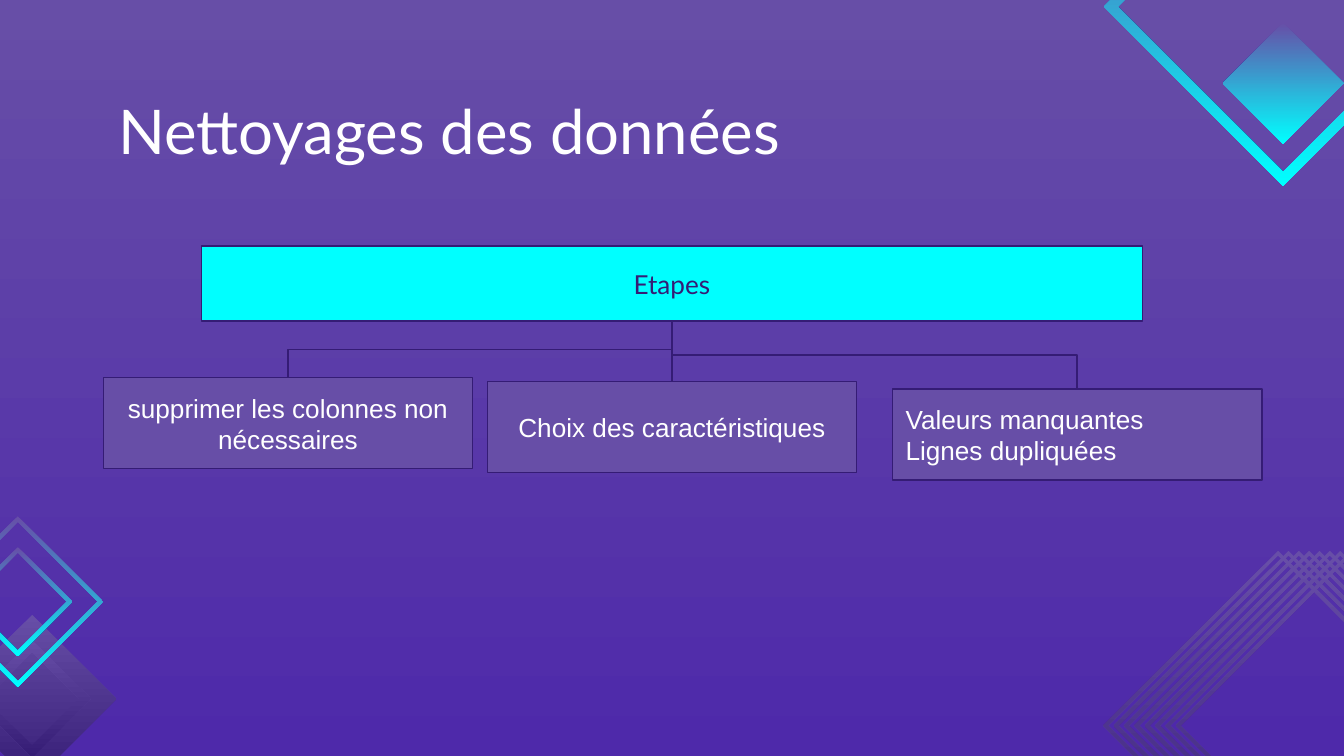
from dataclasses import dataclass

from pptx import Presentation
from pptx.dml.color import RGBColor
from pptx.enum import shapes, text
from pptx.util import Pt

CYAN = RGBColor(0x00, 0xFF, 0xFF)
PURPLE = RGBColor(0x67, 0x4E, 0xA7)
DEEP = RGBColor(0x4E, 0x29, 0xAA)
INDIGO = RGBColor(0x35, 0x1C, 0x75)
WHITE = RGBColor(0xFF, 0xFF, 0xFF)


@dataclass
class Diamond:
    """Centre, outer radius and hole radius (0 for a solid one), in points."""
    cx: float
    cy: float
    radius: float
    hole: float
    bottom: RGBColor


@dataclass
class Box:
    """A labelled box, in points; each line is a paragraph."""
    x: float
    y: float
    w: float
    h: float
    lines: list[str]
    fill: RGBColor = PURPLE
    color: RGBColor = WHITE
    font: str = "Arial"
    align: text.PP_ALIGN = text.PP_ALIGN.CENTER


def shade(fill, top: RGBColor, bottom: RGBColor) -> None:
    fill.gradient()
    fill.gradient_angle = 270
    for stop, color in zip(fill.gradient_stops, (top, bottom)):
        stop.color.rgb = color


def set_margins(tf) -> None:
    tf.margin_left = tf.margin_right = tf.margin_top = tf.margin_bottom = Pt(7.2)
    tf.word_wrap = True


def draw_diamond(s, d: Diamond) -> None:
    def corners(r: float, turn: int) -> list[tuple[int, int]]:
        return [(Pt(d.cx + dx * r), Pt(d.cy + dy * r))
                for dx, dy in ((0, -1), (turn, 0), (0, 1), (-turn, 0))]

    outer = corners(d.radius, 1)
    builder = s.shapes.build_freeform(*outer[0])
    builder.add_line_segments(outer[1:], close=True)
    if d.hole:
        inner = corners(d.hole, -1)
        builder.move_to(*inner[0])
        builder.add_line_segments(inner[1:], close=True)
    sp = builder.convert_to_shape()
    sp.shadow.inherit = False
    shade(sp.fill, PURPLE, d.bottom)
    sp.line.fill.background()


def draw_box(s, b: Box) -> None:
    sp = s.shapes.add_shape(shapes.MSO_SHAPE.RECTANGLE, Pt(b.x), Pt(b.y), Pt(b.w), Pt(b.h))
    sp.shadow.inherit = False
    sp.fill.solid()
    sp.fill.fore_color.rgb = b.fill
    sp.line.color.rgb = INDIGO
    sp.line.width = Pt(0.75)
    tf = sp.text_frame
    set_margins(tf)
    tf.vertical_anchor = text.MSO_ANCHOR.MIDDLE
    tf.text = "\n".join(b.lines)
    for p in tf.paragraphs:
        p.alignment = b.align
        for r in p.runs:
            r.font.size = Pt(14)
            r.font.name = b.font
            r.font.color.rgb = b.color


def draw_branch(s, parent: Box, child: Box) -> None:
    """Elbow from the parent's bottom to the child's top, turned to leave downwards."""
    x0, y0 = parent.x + parent.w / 2, parent.y + parent.h
    x1, y1 = child.x + child.w / 2, child.y
    w, h = y1 - y0, abs(x1 - x0)
    left, top = (x0 + x1 - w) / 2, (y0 + y1 - h) / 2
    rightward = x1 > x0
    begin, end = (left + w, left) if rightward else (left, left + w)
    c = s.shapes.add_connector(shapes.MSO_CONNECTOR.ELBOW,
                               Pt(begin), Pt(top), Pt(end), Pt(top + h))
    sp_pr = c._element.spPr
    sp_pr.xfrm.set("rot", "16200000" if rightward else "5400000")
    c.line.color.rgb = INDIGO
    c.line.width = Pt(0.75)
    sp_pr.append(sp_pr.makeelement(
        "{http://schemas.openxmlformats.org/drawingml/2006/main}effectLst", {}))


# Lattice of rings at the lower right, then the single diamonds
DIAMONDS = [Diamond(684.7 + 5.55 * i, 388.8, 93.7, 91.1, INDIGO) for i in range(8)] + [
    Diamond(17.3, 374.4, 45, 0, INDIGO),
    Diamond(17.3, 374.4, 31.5, 25, INDIGO),
    Diamond(9.6, 322.4, 45.7, 42.8, CYAN),
    Diamond(9.6, 322.4, 29.2, 26.3, CYAN),
    Diamond(687.4, 44.6, 32.4, 0, CYAN),
    Diamond(687.4, 3.6, 96, 88.6, CYAN),
]

ROOT = Box(108, 131.8, 504, 40.3, ["Etapes"], CYAN, INDIGO, "Lato")
STEPS = [
    Box(478, 208.5, 198, 48.8, ["Valeurs manquantes", "Lignes dupliquées"],
        align=text.PP_ALIGN.LEFT),
    Box(55.3, 202.4, 198, 48.8, ["supprimer les colonnes non nécessaires"]),
    Box(261, 204.3, 198, 48.8, ["Choix des caractéristiques"]),
]


def main() -> None:
    prs = Presentation()
    prs.slide_width, prs.slide_height = Pt(720), Pt(405)
    s = prs.slides.add_slide(prs.slide_layouts[5])
    shade(s.background.fill, PURPLE, DEEP)

    # Decoration
    for diamond in DIAMONDS:
        draw_diamond(s, diamond)

    # Tree of steps
    for box in [*STEPS, ROOT]:
        draw_box(s, box)
    for step in STEPS:
        draw_branch(s, ROOT, step)

    # Title
    title = s.shapes.title
    title.left, title.top, title.width, title.height = Pt(56.2), Pt(42.5), Pt(607.7), Pt(45.4)
    tf = title.text_frame
    set_margins(tf)
    tf.auto_size = text.MSO_AUTO_SIZE.NONE
    tf.vertical_anchor = text.MSO_ANCHOR.TOP
    tf.text = "Nettoyages des données"
    p = tf.paragraphs[0]
    p.alignment = text.PP_ALIGN.LEFT
    r = p.runs[0]
    r.font.size = Pt(33)
    r.font.name = "Lato"
    r.font.color.rgb = WHITE

    prs.save("out.pptx")


if __name__ == "__main__":
    main()
